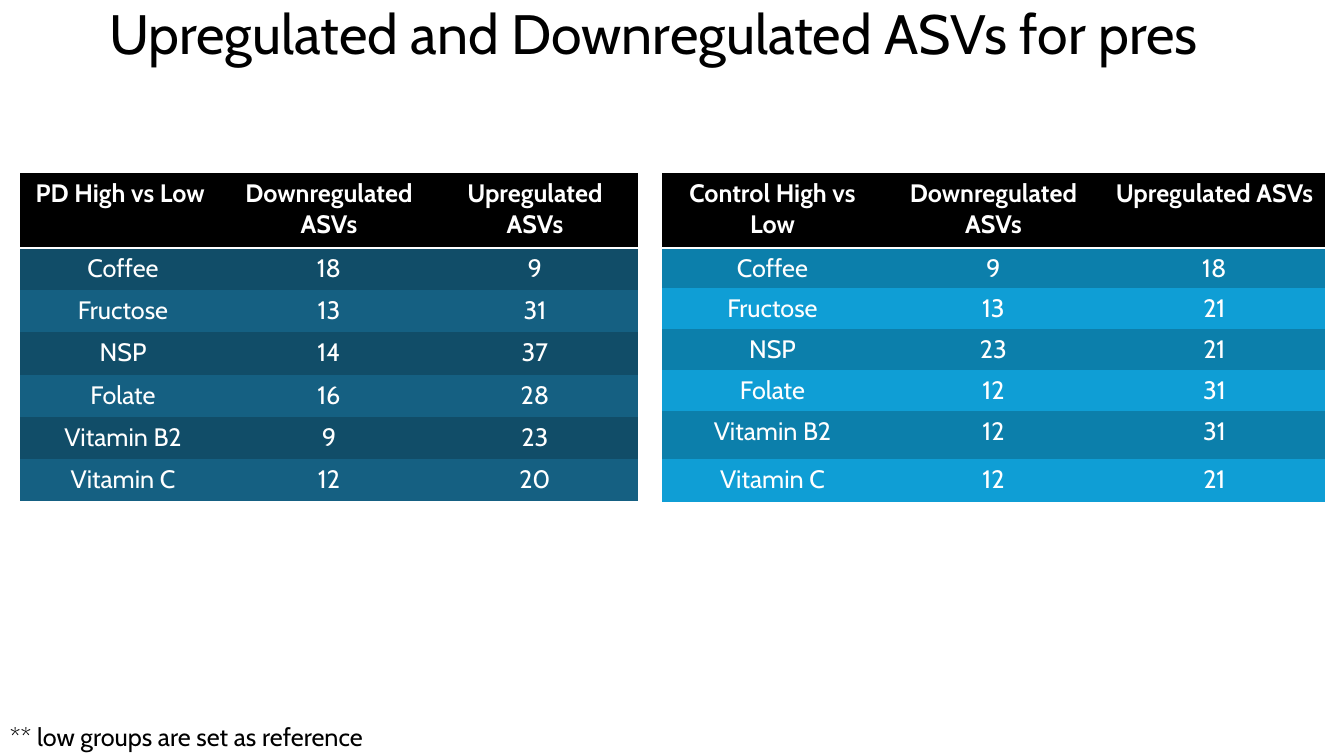
from dataclasses import dataclass

from lxml import etree
from pptx import Presentation, util as u
from pptx.dml.color import RGBColor
from pptx.enum import text
from pptx.oxml.ns import qn


@dataclass(frozen=True)
class Theme:
    """Colours, type sizes and font of the slide."""
    font: str = "Cabin"
    ink: str = "000000"
    white: str = "FFFFFF"
    navy: tuple = ("114D68", "156082")
    sky: tuple = ("0C7FAB", "0F9ED5")
    head: float = 39.6
    body: float = 18


THEME = Theme()
PLAIN = "{2D5ABB26-0587-4C30-8999-92F81FD0307C}"
FOODS = ("Coffee", "Fructose", "NSP", "Folate", "Vitamin B2", "Vitamin C")


def px(n):
    """Turn pixels into EMU."""
    return u.Emu(round(n * 914400 / 100.8))


def style(para, size, color, bold=False):
    """Set the font of a paragraph."""
    font = para.font
    font.name, font.size, font.bold = THEME.font, u.Pt(size), bold
    font.color.rgb = RGBColor.from_string(color)


def title(slide, words):
    """Fill and place the title."""
    box = slide.shapes.title
    box.left, box.top, box.width, box.height = map(px, (74, 0, 1159, 74))
    frame = box.text_frame
    frame.text = words
    frame.auto_size = text.MSO_AUTO_SIZE.NONE
    frame.vertical_anchor = text.MSO_ANCHOR.MIDDLE
    para = frame.paragraphs[0]
    para.alignment = text.PP_ALIGN.CENTER
    para.line_spacing = 0.9
    style(para, THEME.head, THEME.ink)


def note(slide, words):
    """Add the footnote."""
    box = slide.shapes.add_textbox(*map(px, (0, 716, 393, 40)))
    frame = box.text_frame
    frame.word_wrap = True
    frame.text = words
    style(frame.paragraphs[0], THEME.body, THEME.ink)


def rule(cell):
    """Draw a white line under a cell."""
    line = etree.Element(qn("a:lnB"), w=str(u.Pt(2)))
    fill = etree.SubElement(line, qn("a:solidFill"))
    etree.SubElement(fill, qn("a:srgbClr"), val=THEME.white)
    cell._tc.get_or_add_tcPr().insert(0, line)


def put(cell, words, color, bold):
    """Fill one table cell."""
    cell.fill.solid()
    cell.fill.fore_color.rgb = RGBColor.from_string(color)
    cell.text = words
    para = cell.text_frame.paragraphs[0]
    para.alignment = text.PP_ALIGN.CENTER
    style(para, THEME.body, THEME.white, bold)


def grid(slide, left, wide, highs, name, counts, bands):
    """Add a table of counts with banded rows."""
    rows = [(name, "Downregulated ASVs", "Upregulated ASVs")]
    rows += [(food, *map(str, pair)) for food, pair in zip(FOODS, counts)]
    size = (left, 173, wide * 3, sum(highs))
    table = slide.shapes.add_table(len(rows), 3, *map(px, size)).table
    table._tbl.tblPr.find(qn("a:tableStyleId")).text = PLAIN
    for col in table.columns:
        col.width = px(wide)
    for i, (row, high) in enumerate(zip(rows, highs)):
        table.rows[i].height = px(high)
        color = bands[(i - 1) % 2] if i else THEME.ink
        for j, words in enumerate(row):
            put(table.cell(i, j), words, color, i == 0)
            if i == 0:
                rule(table.cell(i, j))


def main():
    """Build and save the slide."""
    deck = Presentation()
    deck.slide_width, deck.slide_height = px(1344), px(756)
    slide = deck.slides.add_slide(deck.slide_layouts[5])
    title(slide, "Upregulated and Downregulated ASVs for pres")
    grid(slide, 20, 206, (75, 42, 42, 43, 42, 42, 42), "PD High vs Low ",
         ((18, 9), (13, 31), (14, 37), (16, 28), (9, 23), (12, 20)),
         THEME.navy)
    note(slide, "** low groups are set as reference")
    grid(slide, 662, 221, (75, 40, 41, 41, 40, 48, 43), "Control High vs Low",
         ((9, 18), (13, 21), (23, 21), (12, 31), (12, 31), (12, 21)),
         THEME.sky)
    deck.save("out.pptx")


if __name__ == "__main__":
    main()
